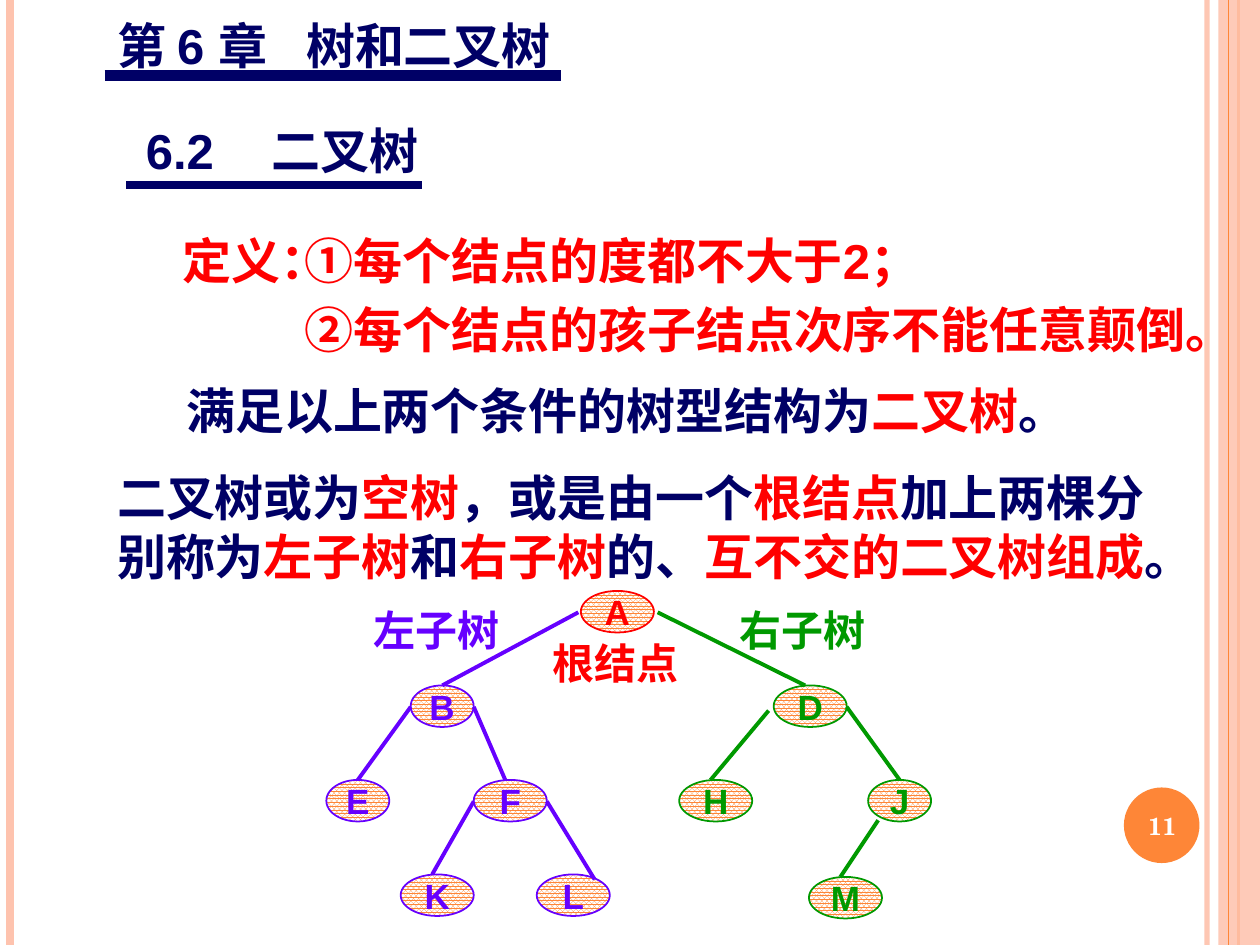
from dataclasses import dataclass
from typing import Optional

import pptx
import pptx.dml.color
import pptx.enum.dml
import pptx.enum.shapes
import pptx.enum.text
import pptx.oxml
import pptx.oxml.ns
import pptx.util
from lxml import etree

Inches = pptx.util.Inches
Pt = pptx.util.Pt
RGBColor = pptx.dml.color.RGBColor
SHAPE = pptx.enum.shapes.MSO_SHAPE
ALIGN = pptx.enum.text.PP_ALIGN
ANCHOR = pptx.enum.text.MSO_ANCHOR
AUTO_SIZE = pptx.enum.text.MSO_AUTO_SIZE
qn = pptx.oxml.ns.qn

NAVY = RGBColor(0x00, 0x00, 0x66)
RED = RGBColor(0xFF, 0x00, 0x00)
VIOLET = RGBColor(0x66, 0x00, 0xFF)
GREEN = RGBColor(0x00, 0x99, 0x00)
ORANGE = RGBColor(0xFE, 0x86, 0x37)
PEACH = RGBColor(0xFE, 0xC3, 0xAE)
WHITE = RGBColor(0xFF, 0xFF, 0xFF)

NODE_HEIGHT = 0.33
LEVEL_TOPS = [4.69 + 0.75 * level for level in range(4)]

Run = tuple[str, RGBColor]
Box = tuple[float, float, float, float]


@dataclass
class Text:
    box: Box
    lines: list[list[Run]]
    size: float = 28
    font: str = "Arial"
    align: Optional[ALIGN] = ALIGN.LEFT
    wrap: bool = True
    spacing: float = 1.0
    tab: Optional[float] = None


@dataclass
class Node:
    letter: str
    center: float
    top: float
    width: float = 0.58


@dataclass
class Line:
    start: tuple[float, float]
    end: tuple[float, float]
    color: RGBColor
    width: float
    opacity: int = 100


@dataclass
class Subtree:
    color: RGBColor
    nodes: list[Node]
    edges: list[tuple[tuple[float, float], tuple[float, float]]]


def set_opacity(fill_parent, percent: int) -> None:
    color = next(fill_parent.iter(qn("a:srgbClr")))
    etree.SubElement(color, qn("a:alpha"), val=str(percent * 1000))


def fill_text(sp, text: Text) -> None:
    """Write the paragraphs of a text into a text box or placeholder."""
    sp.left, sp.top, sp.width, sp.height = map(Inches, text.box)
    tf = sp.text_frame
    tf.word_wrap = text.wrap
    tf.auto_size = AUTO_SIZE.SHAPE_TO_FIT_TEXT
    tf.vertical_anchor = ANCHOR.TOP
    for i, runs in enumerate(text.lines):
        p = tf.paragraphs[0] if i == 0 else tf.add_paragraph()
        p.alignment = text.align
        p.line_spacing = text.spacing
        p.space_before = Pt(0)
        pPr = p._p.get_or_add_pPr()
        pPr.set("marL", "0")
        pPr.set("indent", "0")
        etree.SubElement(pPr, qn("a:buNone"))
        if text.tab:
            tabs = etree.SubElement(pPr, qn("a:tabLst"))
            etree.SubElement(tabs, qn("a:tab"), pos=str(Inches(text.tab)), algn="l")
        for words, color in runs:
            add_run(p, words, color, text.size, text.font)


def add_run(p, words: str, color: RGBColor, size: float, font: str = "Arial") -> None:
    r = p.add_run()
    r.text = words
    r.font.size = Pt(size)
    r.font.name = font
    r.font.bold = True
    r.font.color.rgb = color


def add_text(shapes, text: Text):
    sp = shapes.add_textbox(*map(Inches, text.box))
    fill_text(sp, text)
    return sp


def add_line(shapes, line: Line) -> None:
    cx = shapes.add_connector(pptx.enum.shapes.MSO_CONNECTOR.STRAIGHT,
                              *map(Inches, line.start + line.end))
    cx.line.color.rgb = line.color
    cx.line.width = Pt(line.width)
    spPr = cx._element.spPr
    if line.opacity < 100:
        set_opacity(spPr, line.opacity)
    etree.SubElement(spPr, qn("a:effectLst"))


def add_plain(shapes, kind: SHAPE, box: Box, color: RGBColor):
    sp = shapes.add_shape(kind, *map(Inches, box))
    sp.shadow.inherit = False
    sp.fill.solid()
    sp.fill.fore_color.rgb = color
    sp.line.fill.background()
    return sp


def add_node(shapes, node: Node, color: RGBColor) -> None:
    sp = shapes.add_shape(SHAPE.OVAL, Inches(node.center - node.width / 2),
                          Inches(node.top), Inches(node.width), Inches(NODE_HEIGHT))
    sp.shadow.inherit = False
    sp.fill.patterned()
    sp.fill.pattern = pptx.enum.dml.MSO_PATTERN.PERCENT_80
    sp.fill.fore_color.rgb = ORANGE
    sp.fill.back_color.rgb = WHITE
    sp.line.color.rgb = color
    sp.line.width = Pt(1)
    tf = sp.text_frame
    tf.word_wrap = False
    tf.vertical_anchor = ANCHOR.MIDDLE
    p = tf.paragraphs[0]
    p.alignment = ALIGN.CENTER
    add_run(p, node.letter, color, 20)


def add_subtree(shapes, tree: Subtree) -> None:
    group = shapes.add_group_shape()
    for node in tree.nodes:
        add_node(group.shapes, node, tree.color)
    for start, end in tree.edges:
        add_line(group.shapes, Line(start, end, tree.color, 2.25))


def full_height(x: float, color: RGBColor, width: float, opacity: int = 100) -> Line:
    return Line((x, 0), (x, 7.5), color, width, opacity)


TITLE = Text((0.83, 0.07, 3.7, 0.57), [[("第 6 章\t树和二叉树", NAVY)]], tab=1.6)
BODY = Text((0.83, 3.66, 8.79, 1.03), [
    [("二叉树或为", NAVY), ("空树", RED), ("，或是由一个", NAVY),
     ("根结点", RED), ("加上两棵分", NAVY)],
    [("别称为", NAVY), ("左子树", RED), ("和", NAVY), ("右子树", RED),
     ("的、", NAVY), ("互不交的二叉树组成", RED), ("。", NAVY)],
], wrap=False)
TEXTS = [
    Text((1.06, 0.91, 2.45, 0.57), [[("6.2\t二叉树", NAVY)]], tab=0.93),
    Text((1.27, 1.78, 1.52, 0.57), [[("定义：", RED)]], align=ALIGN.CENTER),
    Text((2.32, 1.78, 5.66, 0.57), [[("①每个结点的度都不大于2；", RED)]]),
    Text((2.32, 2.33, 8.45, 0.57), [[("②每个结点的孩子结点次序不能任意颠倒。", RED)]]),
    Text((1.38, 2.88, 7.25, 0.66), [[("满足以上两个条件的树型结构为", NAVY),
                                     ("二叉树", RED), ("。", NAVY)]], spacing=1.2),
]
LABELS = [
    Text((x, y, 1.2, 0.5), [[(words, color)]], size=24, wrap=False)
    for x, y, words, color in [(4.29, 5.01, "根结点", RED), (2.87, 4.75, "左子树", VIOLET),
                               (5.77, 4.75, "右子树", GREEN)]
]
ROOT = Node("A", 4.9, LEVEL_TOPS[0])
LEFT = Subtree(VIOLET, [
    Node("B", 3.51, LEVEL_TOPS[1], 0.5), Node("E", 2.84, LEVEL_TOPS[2], 0.5),
    Node("F", 4.05, LEVEL_TOPS[2]), Node("K", 3.47, LEVEL_TOPS[3]),
    Node("L", 4.55, LEVEL_TOPS[3]),
], [((4.59, 4.86), (3.51, 5.44)), ((3.26, 5.61), (2.84, 6.19)),
    ((3.76, 5.61), (4.01, 6.19)), ((3.76, 6.36), (3.43, 6.94)),
    ((4.34, 6.36), (4.72, 6.98))])
RIGHT = Subtree(GREEN, [
    Node("D", 6.43, LEVEL_TOPS[1]), Node("H", 5.68, LEVEL_TOPS[2]),
    Node("J", 7.14, LEVEL_TOPS[2], 0.5), Node("M", 6.71, 6.96),
], [((5.22, 4.86), (6.39, 5.44)), ((6.1, 5.64), (5.64, 6.19)),
    ((6.72, 5.61), (7.14, 6.19)), ((6.97, 6.51), (6.67, 6.96))])


def main() -> None:
    prs = pptx.Presentation()
    prs.slide_width, prs.slide_height = Inches(10), Inches(7.5)
    s = prs.slides.add_slide(prs.slide_layouts[1])
    shapes = s.shapes

    # Side stripes and page number
    add_line(shapes, full_height(9.58, PEACH, 3, 93))
    add_line(shapes, full_height(0.08, PEACH, 4.5))
    add_line(shapes, full_height(9.83, ORANGE, 1.5))
    band = add_plain(shapes, SHAPE.RECTANGLE, (9.67, 0, 0.33, 7.5), PEACH)
    set_opacity(band._element.spPr, 87)
    add_line(shapes, full_height(9.75, ORANGE, 0.75))
    add_plain(shapes, SHAPE.OVAL, (8.92, 6.25, 0.6, 0.6), ORANGE)
    number = add_text(shapes, Text((8.89, 6.27, 0.67, 0.57), [[("11", WHITE)]], 14,
                                   "TeX Gyre Schola", ALIGN.CENTER))
    number.text_frame.auto_size = AUTO_SIZE.NONE
    number.text_frame.vertical_anchor = ANCHOR.MIDDLE

    # Headings with their underlines, and the definition
    fill_text(shapes.title, TITLE)
    fill_text(s.placeholders[1], BODY)
    add_line(shapes, Line((0.83, 0.6), (4.45, 0.6), NAVY, 6))
    add_line(shapes, Line((1, 1.47), (3.35, 1.47), NAVY, 4.25))
    for text in TEXTS:
        add_text(shapes, text)

    # Binary tree
    add_node(shapes, ROOT, RED)
    for tree in (LEFT, RIGHT):
        add_subtree(shapes, tree)
    for label in LABELS:
        add_text(shapes, label)

    prs.save("out.pptx")


if __name__ == "__main__":
    main()
